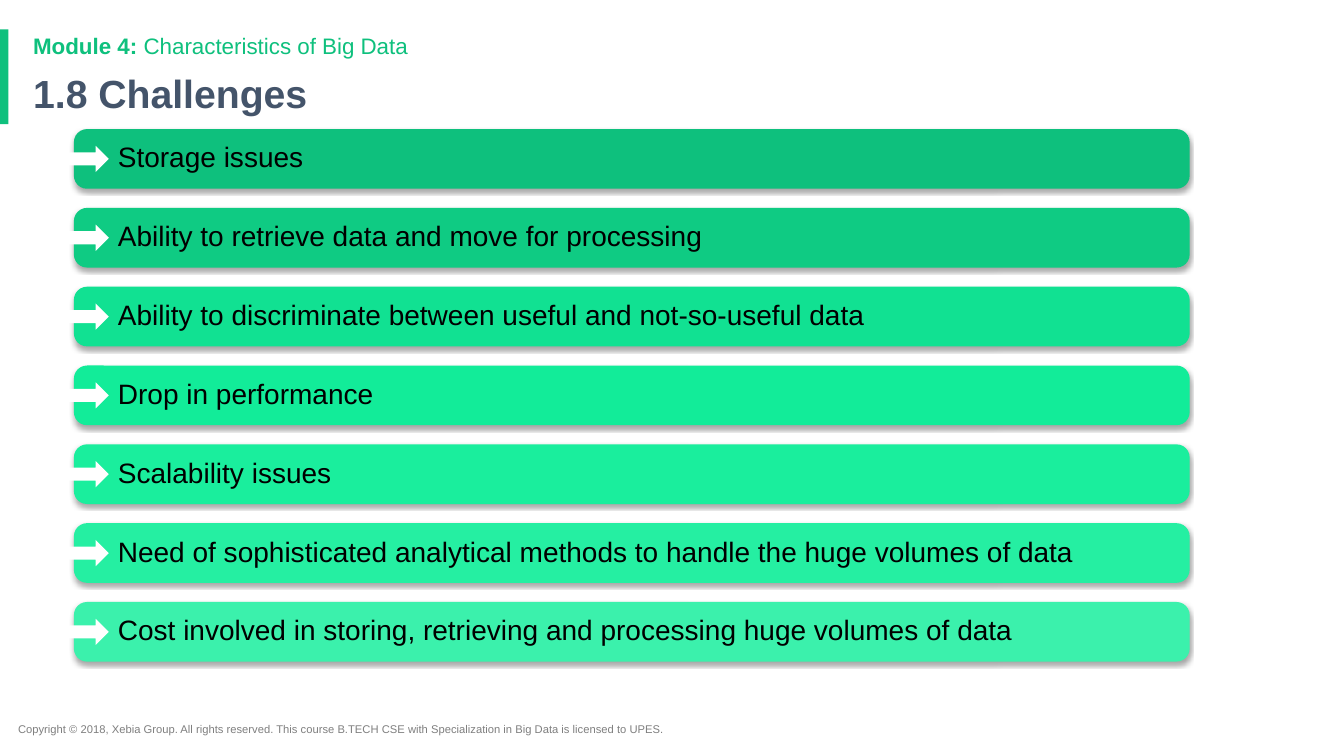
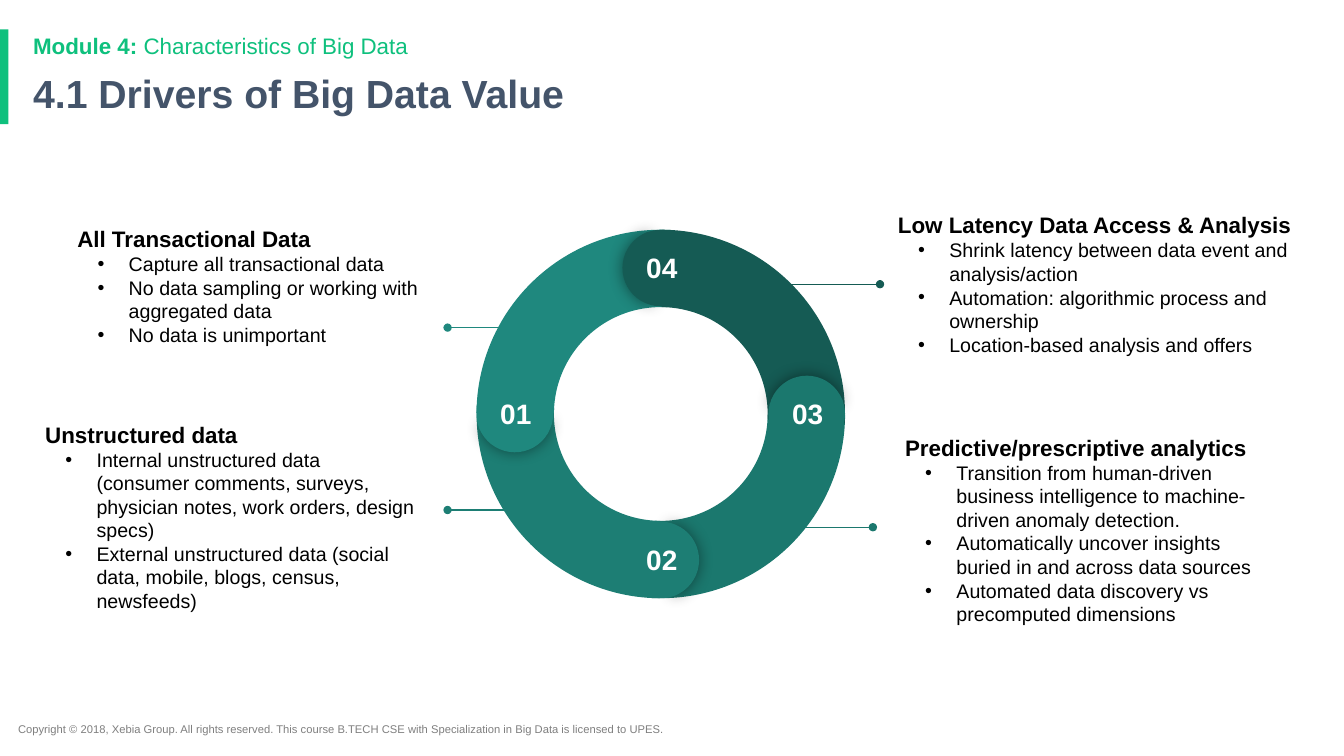
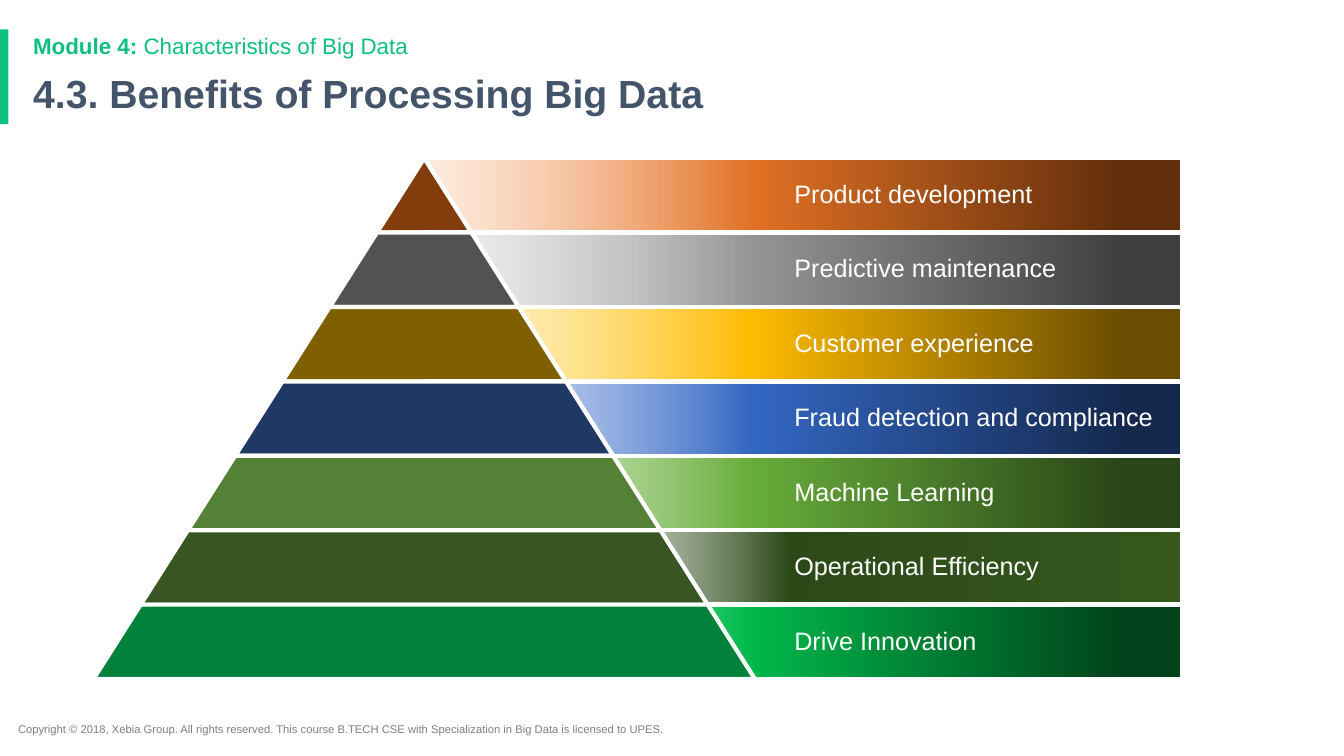
import pptx
import pptx.dml.color
import pptx.enum.shapes
import pptx.enum.text
import pptx.oxml.ns
import pptx.oxml.xmlchemy
import pptx.util
from lxml import etree
from math import cos, radians, sin

Pt = pptx.util.Pt
qn = pptx.oxml.ns.qn
SHAPE = pptx.enum.shapes.MSO_SHAPE
ANCHOR = pptx.enum.text.MSO_ANCHOR
ALIGN = pptx.enum.text.PP_ALIGN

FONT = "Arial"
GREEN = "0EC07D"
SLATE = "44546A"
GREY = "7F7F7F"
BLACK = "000000"
WHITE = "FFFFFF"
MODULE = ("Module 4:", " Characteristics of Big Data")
COPYRIGHT = (
    "Copyright © 2018, Xebia Group. All rights reserved. "
    "This course B.TECH CSE with Specialization in Big Data is licensed to UPES."
)

CHALLENGES = [
    ("Storage issues", "0EC07D"),
    ("Ability to retrieve data and move for processing", "0FCB83"),
    ("Ability to discriminate between useful and not-so-useful data", "11E192"),
    ("Drop in performance", "12EC99"),
    ("Scalability issues", "1AEE9D"),
    ("Need of sophisticated analytical methods to handle the huge volumes of data", "25EFA2"),
    ("Cost involved in storing, retrieving and processing huge volumes of data", "3BF1AC"),
]

RING_SEGMENTS = [
    ("03", "1B786E"),
    ("02", "1D7E74"),
    ("01", "1F887E"),
    ("04", "155B54"),
]

DRIVERS = [
    ("1F887E", (48.2, 153.4, 264.2), (401.8, 319.7, 234), "All Transactional Data", [
        "Capture all transactional data",
        "No data sampling or working with aggregated data",
        "No data is unimportant",
    ]),
    ("1D7E74", (25.2, 318.2, 280.1), (423.4, 319.7, 364.3), "Unstructured data", [
        "Internal unstructured data (consumer comments, surveys, physician notes, work orders, design specs)",
        "External unstructured data (social data, mobile, blogs, census, newsfeeds)",
    ]),
    ("155B54", (634.3, 151.9, 298.8), (471.6, 628.6, 203), "Low Latency Data Access & Analysis", [
        "Shrink latency between data event and analysis/action",
        "Automation: algorithmic process and ownership",
        "Location-based analysis and offers",
    ]),
    ("1B786E", (639.4, 327.6, 276.5), (522, 623.5, 376.6), "Predictive/prescriptive analytics", [
        "Transition from human-driven business intelligence to machine-driven anomaly detection.",
        "Automatically uncover insights buried in and across data sources",
        "Automated data discovery vs precomputed dimensions",
    ]),
]


def four_stops(light, middle, dark):
    return [(0, light, 30), (43, middle, 100), (92, dark, 100), (100, dark, 100)]


BENEFITS = [
    ("Product development", "833C0B", four_stops("FDC29A", "E37226", "622F0C")),
    ("Predictive maintenance", "525252", four_stops("D6D6D6", "969696", "404040")),
    ("Customer experience", "7F6000", four_stops("FFE68B", "FFBC03", "6B4E00")),
    ("Fraud detection and compliance", "1F3864", four_stops("A4BDE8", "3468C4", "162A50")),
    ("Machine Learning", "548135", four_stops("BCE0A5", "69AE3C", "2A4618")),
    ("Operational Efficiency", "385623",
     [(0, WHITE, 0), (48, "2D4A19", 100), (100, "37591F", 100)]),
    ("Drive Innovation", "00823B", four_stops("67FFA3", "00B94C", "00431B")),
]


def color(value):
    return pptx.dml.color.RGBColor.from_string(value)


def add_xml(parent, tag, **attributes):
    element = etree.SubElement(parent, qn(tag))
    for name, value in attributes.items():
        element.set(name, str(value))
    return element


def add_color_xml(parent, value, opacity=100):
    element = add_xml(parent, "a:srgbClr", val=value)
    if opacity < 100:
        add_xml(element, "a:alpha", val=opacity * 1000)


def style_shape(shape, fill, outline=None):
    shape.shadow.inherit = False
    if isinstance(fill, str):
        shape.fill.solid()
        shape.fill.fore_color.rgb = color(fill)
    else:
        shape.fill.gradient()
        shape.fill.gradient_angle = 0
        stops = shape._element.spPr.find(qn("a:gradFill")).find(qn("a:gsLst"))
        for stop in list(stops):
            stops.remove(stop)
        for position, value, opacity in fill:
            add_color_xml(add_xml(stops, "a:gs", pos=position * 1000), value, opacity)
    if outline:
        shape.line.color.rgb = color(outline)
        shape.line.width = Pt(3)
    else:
        shape.line.fill.background()
    return shape


def add_shape(slide, kind, left, top, width, height, fill,
              outline=None, adjustments=(), rotation=0):
    shape = slide.shapes.add_shape(kind, Pt(left), Pt(top), Pt(width), Pt(height))
    for index, value in enumerate(adjustments):
        shape.adjustments[index] = value
    shape.rotation = rotation % 360
    return style_shape(shape, fill, outline)


def add_shadow(shape, opacity, blur, distance):
    effects = shape._element.spPr.find(qn("a:effectLst"))
    shadow = add_xml(effects, "a:outerShdw", blurRad=Pt(blur), dist=Pt(distance),
                     dir=5400000, algn="ctr", rotWithShape=0)
    add_color_xml(shadow, BLACK, opacity)


def set_frame(shape, horizontal=7.2, vertical=3.6, anchor=ANCHOR.TOP):
    frame = shape.text_frame
    frame.word_wrap = True
    frame.vertical_anchor = anchor
    frame.margin_left = frame.margin_right = Pt(horizontal)
    frame.margin_top = frame.margin_bottom = Pt(vertical)
    return frame


def format_paragraph(paragraph, size, value, bold=False, spacing=None, align=ALIGN.LEFT):
    paragraph.alignment = align
    if spacing:
        paragraph.line_spacing = spacing
    for run in paragraph.runs:
        run.font.name = FONT
        run.font.size = Pt(size)
        run.font.bold = bold
        run.font.color.rgb = color(value)


def add_text(slide, left, top, width, height, text, size, value,
             margins=(7.2, 3.6), anchor=ANCHOR.TOP, **options):
    box = slide.shapes.add_textbox(Pt(left), Pt(top), Pt(width), Pt(height))
    frame = set_frame(box, *margins, anchor)
    frame.text = text
    format_paragraph(frame.paragraphs[0], size, value, **options)
    return frame


def add_bullet(frame, text):
    paragraph = frame.add_paragraph()
    paragraph.text = text
    properties = paragraph._p.get_or_add_pPr()
    properties.set("marL", str(Pt(36.7)))
    properties.set("indent", str(Pt(-22.3)))
    add_color_xml(add_xml(properties, "a:buClr"), BLACK)
    add_xml(properties, "a:buFont", typeface=FONT)
    add_xml(properties, "a:buChar", char="•")
    format_paragraph(paragraph, 14, BLACK)


def add_pointer(slide, start, end, height, value):
    connector = slide.shapes.add_connector(
        pptx.enum.shapes.MSO_CONNECTOR.STRAIGHT, Pt(start), Pt(height), Pt(end), Pt(height))
    connector.line.color.rgb = color(value)
    connector.line.width = Pt(0.75)
    properties = connector._element.spPr
    add_xml(properties.find(qn("a:ln")), "a:tailEnd", type="oval")
    add_xml(properties, "a:effectLst")


def add_slide(presentation, title):
    slide = presentation.slides.add_slide(presentation.slide_layouts[6])
    add_shape(slide, SHAPE.RECTANGLE, 0, 21, 6, 67.7, GREEN)
    add_text(slide, 5.8, 512.6, 513.4, 17.3, COPYRIGHT, 8, GREY)
    add_text(slide, 16.6, 49.7, 828, 38.9, title, 28, SLATE, bold=True, spacing=0.9)
    frame = add_text(slide, 16.6, 21.6, 828, 23.8, MODULE[0], 16, GREEN)
    paragraph = frame.paragraphs[0]
    paragraph.add_run().text = MODULE[1]
    format_paragraph(paragraph, 16, GREEN, spacing=0.9)
    paragraph.runs[0].font.bold = True
    return slide


def add_challenge(slide, top, text, fill):
    bar = add_shape(slide, SHAPE.ROUNDED_RECTANGLE, 52.8, top, 797, 42.6, fill,
                    adjustments=[0.22])
    add_shadow(bar, 35, 3, 2)
    frame = set_frame(bar, 7.2, 7.2, ANCHOR.MIDDLE)
    frame.text = text
    paragraph = frame.paragraphs[0]
    paragraph._p.get_or_add_pPr().set("marL", str(Pt(21.6)))
    format_paragraph(paragraph, 20, BLACK, spacing=0.9)
    add_shape(slide, SHAPE.RIGHT_ARROW, 48.2, top + 12, 29.5, 18.7, WHITE)


def add_ring(slide):
    center_x, center_y, radius, cap = 472, 295.7, 131.6, 54.7
    orbit = radius - cap / 2
    angles = range(0, 360, 90)
    for angle, (label, fill) in zip(angles, RING_SEGMENTS):
        add_shape(slide, SHAPE.BLOCK_ARC, center_x - radius, center_y - radius,
                  2 * radius, 2 * radius, fill,
                  adjustments=[126.22, 181.77, 0.21], rotation=angle + 150)
    for angle, (label, fill) in zip(angles, RING_SEGMENTS):
        x = center_x + orbit * cos(radians(angle))
        y = center_y + orbit * sin(radians(angle))
        place = (x - cap / 2, y - cap / 2, cap, cap, fill)
        shaded = add_shape(slide, SHAPE.PIE, *place,
                           adjustments=[61.9, 149.96], rotation=angle + 90.7)
        add_shadow(shaded, 43, 11.2, 0)
        add_shape(slide, SHAPE.PIE, *place,
                  adjustments=[40.28, 171.84], rotation=angle + 270)
        add_text(slide, x - 23.3, y - 20, 48, 25.2, label, 20, WHITE,
                 margins=(7.2, 7.2), bold=True, align=ALIGN.CENTER)


def add_driver(slide, value, place, pointer, heading, bullets):
    frame = add_text(slide, *place, 101.5, heading, 16, BLACK,
                     margins=(7.2, 7.2), anchor=ANCHOR.MIDDLE, bold=True)
    for bullet in bullets:
        add_bullet(frame, bullet)
    add_pointer(slide, *pointer, value)


def add_benefit(slide, row, text, fill, stops):
    height, half_step, apex = 53.15, 33.75, 303
    top = 113 + row * height
    bottom = top + height
    add_shape(slide, SHAPE.RECTANGLE, 303.8, top, 540.7, height, stops, WHITE)
    upper, lower = row * half_step, (row + 1) * half_step
    builder = slide.shapes.build_freeform(Pt(apex - lower), Pt(bottom))
    corners = [(apex - upper, top), (apex + upper, top), (apex + lower, bottom)]
    builder.add_line_segments([(Pt(x), Pt(y)) for x, y in corners], close=True)
    style_shape(builder.convert_to_shape(), fill, WHITE)
    add_text(slide, 567.4, top, 268.6, height, text, 18, WHITE,
             margins=(0, 1.4), anchor=ANCHOR.MIDDLE, spacing=0.9)


def main():
    presentation = pptx.Presentation()
    presentation.slide_width = Pt(960)
    presentation.slide_height = Pt(540)

    slide = add_slide(presentation, "1.8 Challenges")
    for row, (text, fill) in enumerate(CHALLENGES):
        add_challenge(slide, 92.2 + row * 56.3, text, fill)

    slide = add_slide(presentation, "4.1 Drivers of Big Data Value")
    add_ring(slide)
    for driver in DRIVERS:
        add_driver(slide, *driver)

    slide = add_slide(presentation, "4.3. Benefits of Processing Big Data")
    for row, benefit in enumerate(BENEFITS):
        add_benefit(slide, row, *benefit)

    presentation.save("out.pptx")


if __name__ == "__main__":
    main()
